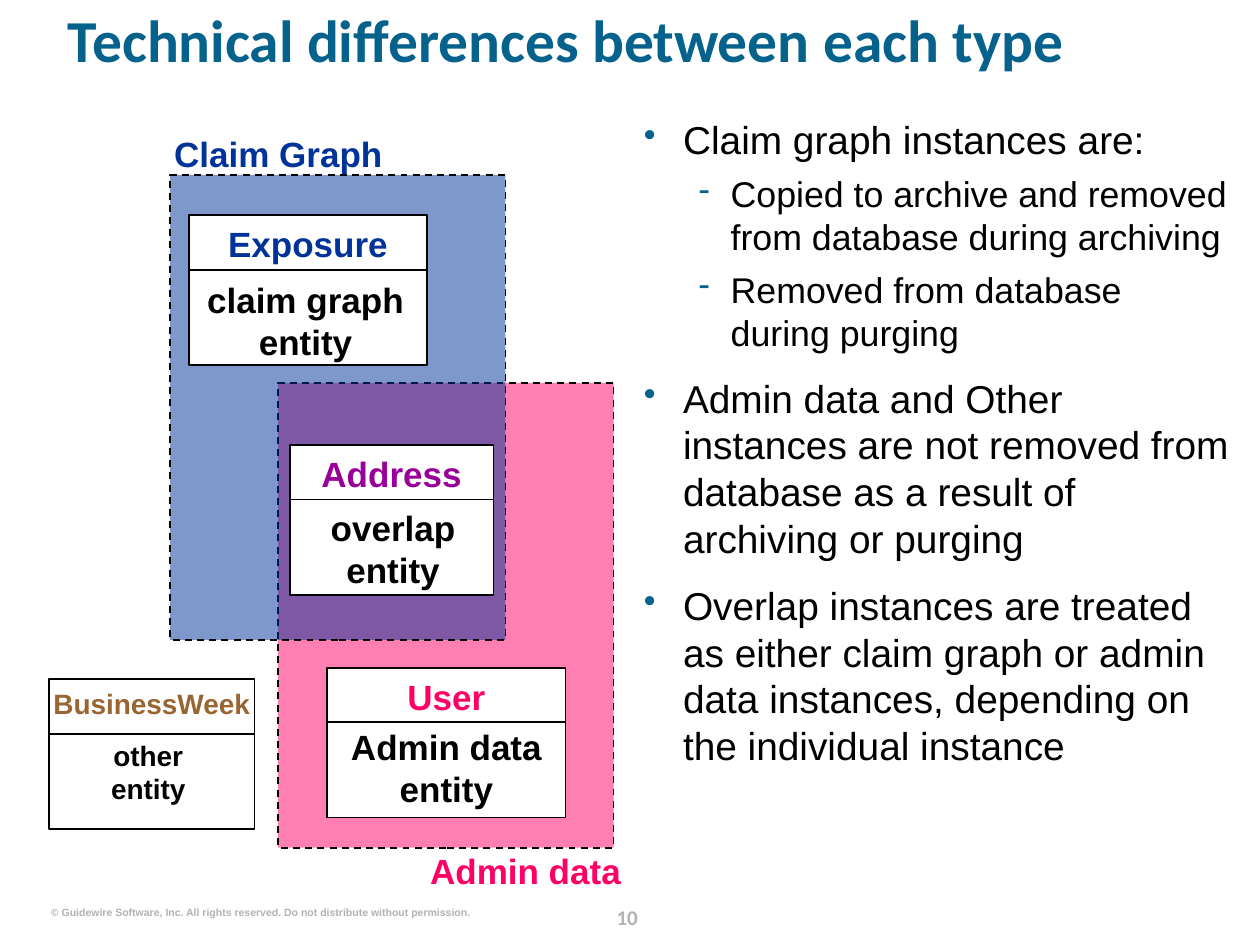
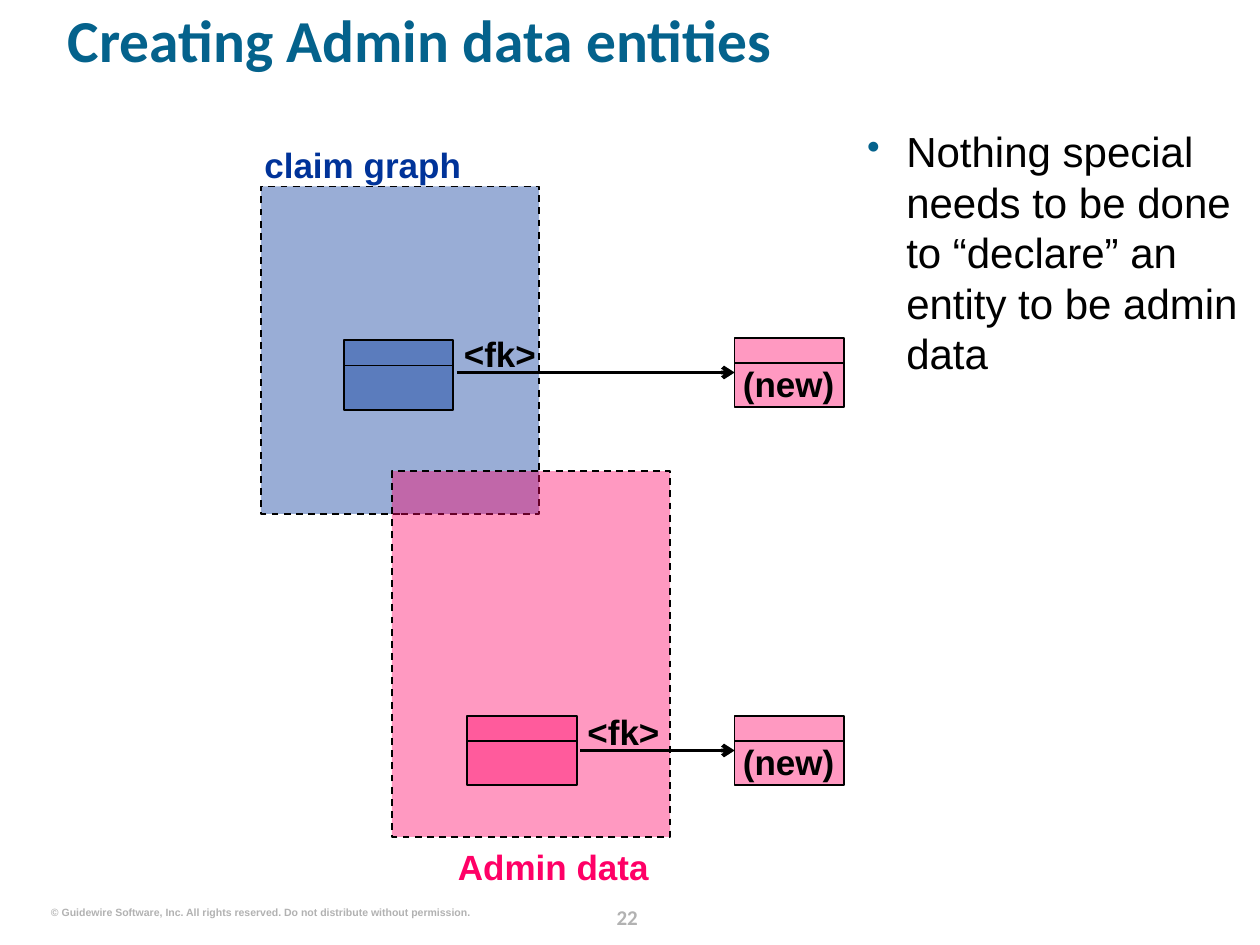
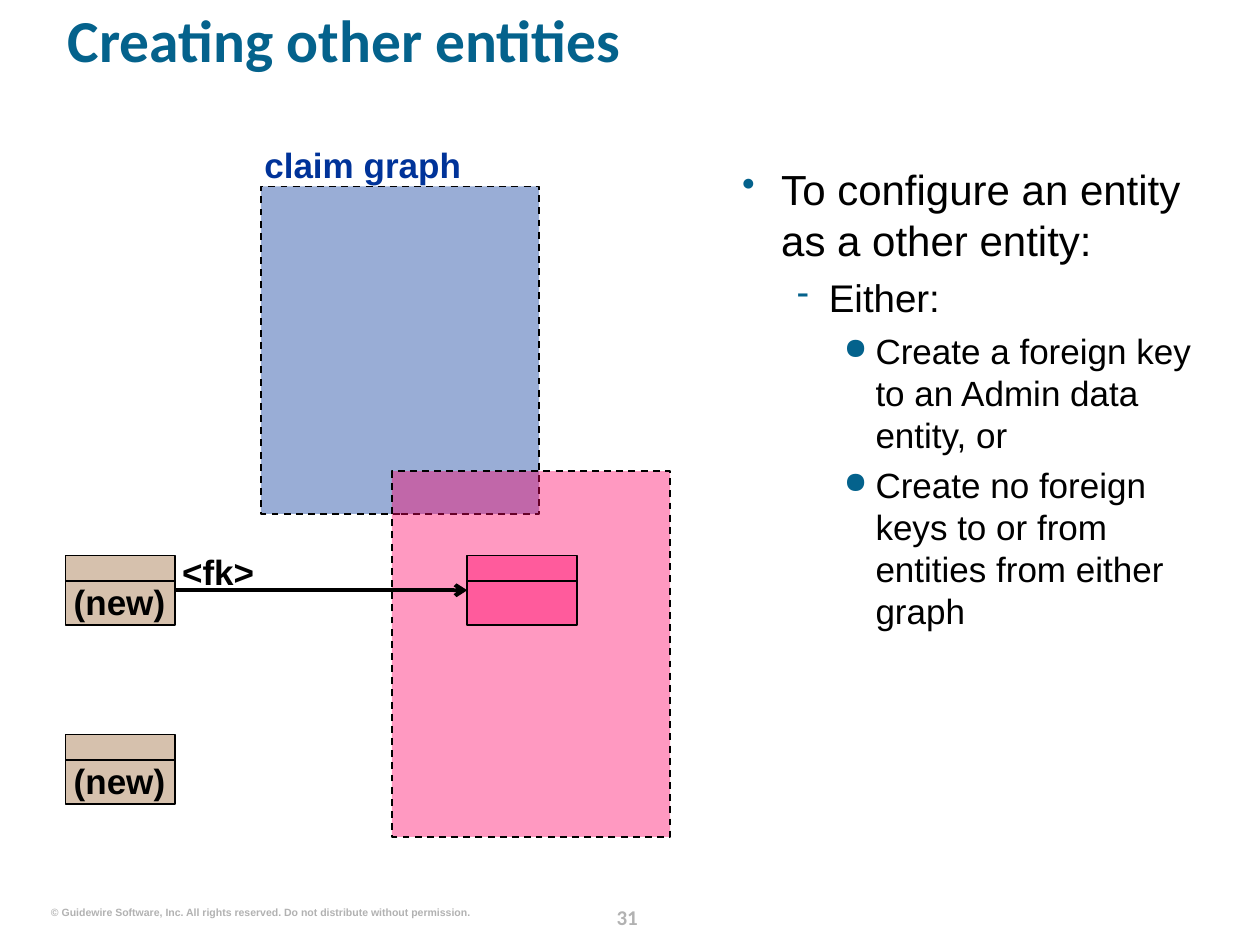
from lxml import etree
from pptx import Presentation
from pptx import util as u
from pptx.dml.color import RGBColor
from pptx.enum import dml, shapes, text
from pptx.oxml.ns import qn

TEAL, BLUE, PINK = "04628C", "003399", "FF0066"
PURPLE, BROWN, GREY = "990099", "996633", "B2B2B2"
BLACK, WHITE = "000000", "FFFFFF"
LEFT, CENTER, RIGHT = text.PP_ALIGN.LEFT, text.PP_ALIGN.CENTER, text.PP_ALIGN.RIGHT
COPYRIGHT = "© Guidewire Software, Inc. All rights reserved. Do not distribute without permission."
BULLETS = [
    {"mark": "•", "margin": 0.79, "hang": 0.79, "before": 12, "percent": 90},
    {"mark": "-", "margin": 1.75, "hang": 0.64, "before": 5.5, "percent": 90},
    {"mark": "●", "margin": 2.69, "hang": 0.64, "before": 5, "percent": 85},
]
SMALL_WIDTH, SMALL_HEIGHT, SMALL_DIVIDER = 2.21, 1.4, 0.51
LARGE_HEIGHT, LARGE_DIVIDER = 3.02, 1.1


def rgb(code):
    return RGBColor.from_string(code)


def lengths(*values):
    return [u.Cm(value) for value in values]


def write(para, content, size=20, colour=BLACK, bold=True, font="Arial", align=LEFT, spacing=None):
    para.text = content
    para.alignment = align
    if spacing:
        para.line_spacing = spacing
    for span in para.runs:
        span.font.size = u.Pt(size)
        span.font.name = font
        span.font.bold = bold
        span.font.color.rgb = rgb(colour)


def clear_frame(frame, wrap=True):
    frame.margin_left = frame.margin_top = frame.margin_right = frame.margin_bottom = 0
    frame.vertical_anchor = text.MSO_ANCHOR.TOP
    frame.auto_size = text.MSO_AUTO_SIZE.NONE
    frame.word_wrap = wrap


def label(page, content, left, top, width, height=0.84, wrap=True, **style):
    box = page.shapes.add_textbox(*lengths(left, top, width, height))
    clear_frame(box.text_frame, wrap)
    write(box.text_frame.paragraphs[0], content, **style)


def add_bullet(para, mark, margin, hang, before, percent, first):
    props = para._p.get_or_add_pPr()
    props.set("marL", str(u.Cm(margin)))
    props.set("indent", str(-u.Cm(hang)))
    colour = etree.SubElement(props, qn("a:buClr"))
    etree.SubElement(colour, qn("a:srgbClr"), val=TEAL)
    etree.SubElement(props, qn("a:buSzPct"), val=str(percent * 1000))
    etree.SubElement(props, qn("a:buChar"), char=mark)
    if not first:
        para.space_before = u.Pt(before)


def bullet_list(page, left, top, width, height, sizes, items):
    box = page.shapes.add_textbox(*lengths(left, top, width, height))
    frame = box.text_frame
    clear_frame(frame)
    for index, (level, content) in enumerate(items):
        para = frame.add_paragraph() if index else frame.paragraphs[0]
        para.level = level
        add_bullet(para, first=index == 0, **BULLETS[level])
        write(para, content, size=sizes[level], bold=False)


def rectangle(page, left, top, width, height, fill, opacity=100, dashed=False):
    box = page.shapes.add_shape(shapes.MSO_SHAPE.RECTANGLE, *lengths(left, top, width, height))
    box.shadow.inherit = False
    box.fill.solid()
    box.fill.fore_color.rgb = rgb(fill)
    if opacity < 100:
        colour = box.element.spPr.find(qn("a:solidFill")).find(qn("a:srgbClr"))
        etree.SubElement(colour, qn("a:alpha"), val=str(opacity * 1000))
    box.line.color.rgb = rgb(BLACK)
    box.line.width = u.Pt(1)
    if dashed:
        box.line.dash_style = dml.MSO_LINE.DASH
    return box


def line(page, start_x, start_y, end_x, end_y, weight=1):
    rule = page.shapes.add_connector(shapes.MSO_CONNECTOR.STRAIGHT, start_x, start_y, end_x, end_y)
    rule.line.color.rgb = rgb(BLACK)
    rule.line.width = u.Pt(weight)
    etree.SubElement(rule.element.spPr, qn("a:effectLst"))
    return rule


def entity(page, left, top, width, height, divider, fill, opacity=100):
    box = rectangle(page, left, top, width, height, fill, opacity)
    y = box.top + u.Cm(divider)
    line(page, box.left + box.width, y, box.left, y)
    return box


def named_entity(page, left, top, width, name, colour, body, body_shift, body_top, size=20):
    entity(page, left, top, width, LARGE_HEIGHT, LARGE_DIVIDER, WHITE)
    label(page, name, left, top + 0.15, width, size=size, colour=colour, align=CENTER)
    label(page, body, left + body_shift, top + body_top, width, 1.7, size=size, align=CENTER)


def small_entity(page, left, top, fill, new=False):
    box = entity(page, left, top, SMALL_WIDTH, SMALL_HEIGHT, SMALL_DIVIDER, fill, 40)
    if new:
        label(page, "(new)", left + 0.15, top + 0.5, 1.88, align=CENTER)
    return box


def foreign_key(page, source, target, gap=0.0):
    start_x = source.left + source.width + u.Cm(gap)
    y = target.top + target.height // 2
    arrow = line(page, start_x, y, target.left, y, weight=2.25)
    if not gap:
        arrow.begin_connect(source, 3)
    arrow.end_connect(target, 1)
    etree.SubElement(arrow.line._get_or_add_ln(), qn("a:tailEnd"), type="arrow")
    label(page, "<fk>", u.Emu(start_x).cm - 0.07, u.Emu(y).cm - 0.81, 1.88, align=CENTER)


def graph_regions(page):
    rectangle(page, 5.26, 3.76, 5.61, 6.6, BLUE, 40, dashed=True)
    rectangle(page, 7.9, 9.5, 5.61, 7.37, PINK, 40, dashed=True)
    label(page, "claim graph", 5.33, 2.9, 4.39, colour=BLUE)


def start_page(deck, title, number):
    page = deck.slides.add_slide(deck.slide_layouts[5])
    holder = page.shapes.title
    holder.left, holder.top, holder.width, holder.height = lengths(1.37, 0.33, 23.11, 2.06)
    clear_frame(holder.text_frame)
    write(holder.text_frame.paragraphs[0], title, size=34, colour=TEAL, font="Calibri", spacing=0.8)
    label(page, str(number), 11.92, 18.11, 1.45, 0.64, size=12, colour=GREY,
          font="Calibri", align=CENTER, spacing=u.Pt(18))
    label(page, COPYRIGHT, 1.02, 18.26, 8.46, 0.25, wrap=False, size=6, colour=GREY, align=RIGHT)
    return page


def differences_page(deck):
    page = start_page(deck, "Technical differences between each type", 10)
    rectangle(page, 5.61, 7.72, 6.76, 9.37, PINK, 50, dashed=True)
    rectangle(page, 3.43, 3.53, 6.76, 9.37, BLUE, 50, dashed=True)
    label(page, "Claim Graph", 3.51, 2.67, 4.39, colour=BLUE)
    label(page, "Admin data", 7.39, 17.12, 5.13, colour=PINK, align=RIGHT)
    named_entity(page, 3.81, 4.34, 4.8, "Exposure", BLUE, "claim graph\nentity", -0.05, 1.27)
    named_entity(page, 6.6, 13.46, 4.8, "User", PINK, "Admin data\nentity", 0, 1.17)
    named_entity(page, 5.84, 8.97, 4.11, "Address", PURPLE, "overlap\nentity", 0.03, 1.24)
    named_entity(page, 0.99, 13.69, 4.14, "BusinessWeek", BROWN, "other\nentity", -0.07, 1.19, size=16)
    bullet_list(page, 12.98, 2.34, 11.81, 15.11, (22.2, 20.4), [
        (0, "Claim graph instances are:"),
        (1, "Copied to archive and removed from database during archiving"),
        (1, "Removed from database during purging"),
        (0, "Admin data and Other instances are not removed from database "
            "as a result of archiving or purging"),
        (0, "Overlap instances are treated as either claim graph or admin data instances, "
            "depending on the individual instance"),
    ])


def admin_page(deck):
    page = start_page(deck, "Creating Admin data entities", 22)
    graph_regions(page)
    label(page, "Admin data", 7.95, 17.04, 5.13, colour=PINK, align=RIGHT)
    for left, top, new_top, fill in ((6.93, 6.86, 6.81, BLUE), (9.42, 14.43, 14.43, PINK)):
        source = small_entity(page, left, top, fill)
        target = small_entity(page, 14.81, new_top, PINK, new=True)
        foreign_key(page, source, target, gap=0.07)
    bullet_list(page, 17.48, 2.54, 7.54, 15.65, (24,), [
        (0, "Nothing special needs to be done to “declare” an entity to be admin data"),
    ])


def other_page(deck):
    page = start_page(deck, "Creating other entities", 31)
    graph_regions(page)
    admin = small_entity(page, 9.42, 11.2, PINK)
    linked, _ = [small_entity(page, 1.32, top, BROWN, new=True) for top in (11.2, 14.81)]
    foreign_key(page, linked, admin)
    bullet_list(page, 14.96, 3.3, 9.58, 14.43, (24, 22, 20), [
        (0, "To configure an entity as a other entity:"),
        (1, "Either:"),
        (2, "Create a foreign key to an Admin data entity, or"),
        (2, "Create no foreign keys to or from entities from either graph"),
    ])


def main():
    deck = Presentation()
    deck.slide_width, deck.slide_height = lengths(25.4, 19.05)
    differences_page(deck)
    admin_page(deck)
    other_page(deck)
    deck.save("out.pptx")


if __name__ == "__main__":
    main()
